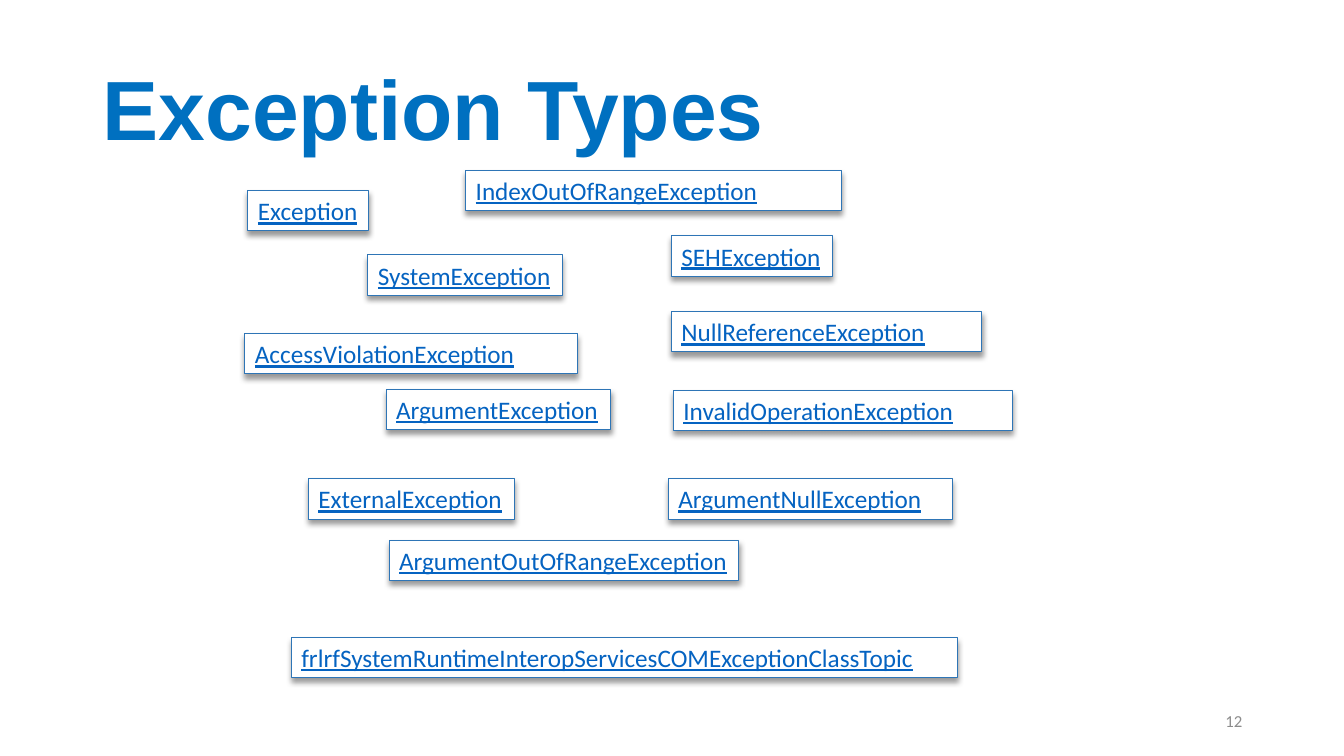
from dataclasses import dataclass

from lxml import etree
from pptx import Presentation
from pptx import util as u
from pptx.dml.color import RGBColor
from pptx.enum import shapes, text
from pptx.oxml import ns

BLUE = RGBColor(0x00, 0x70, 0xC0)
LINK = RGBColor(0x05, 0x63, 0xC1)
BORDER = RGBColor(0x2E, 0x75, 0xB6)
GREY = RGBColor(0x8C, 0x8C, 0x8C)
WHITE = RGBColor(0xFF, 0xFF, 0xFF)

LABEL_HEIGHT = 0.4


@dataclass
class Label:
    name: str
    left: float
    top: float
    width: float
    wrap: bool = True


LABELS = [
    Label("Exception", 2.46, 1.89, 1.2, False),
    Label("SystemException", 3.65, 2.53, 1.93, False),
    Label("IndexOutOfRangeException", 4.62, 1.69, 3.73),
    Label("NullReferenceException", 6.66, 3.09, 3.08),
    Label("AccessViolationException", 2.43, 3.31, 3.3),
    Label("InvalidOperationException", 6.68, 3.87, 3.36),
    Label("ArgumentException", 3.83, 3.86, 2.23, False),
    Label("ArgumentNullException", 6.63, 4.75, 2.82),
    Label("ArgumentOutOfRangeException", 3.86, 5.36, 3.47),
    Label("ExternalException", 3.06, 4.75, 2.04, False),
    Label("frlrfSystemRuntimeInteropServicesCOMExceptionClassTopic", 2.89, 6.32, 6.61),
    Label("SEHException", 6.66, 2.34, 1.6, False),
]


def style(p, font: str, size: float, color: RGBColor) -> None:
    p.font.name = font
    p.font.size = u.Pt(size)
    p.font.color.rgb = color


def add_text(slide, words: str, left: float, top: float, width: float, height: float):
    sp = slide.shapes.add_textbox(*map(u.Inches, (left, top, width, height)))
    tf = sp.text_frame
    tf.word_wrap = True
    tf.vertical_anchor = text.MSO_ANCHOR.MIDDLE
    p = tf.paragraphs[0]
    p.text = words
    return p


def add_shadow(sp) -> None:
    sp.shadow.inherit = False
    effects = sp.element.spPr.find(ns.qn("a:effectLst"))
    shadow = etree.SubElement(
        effects, ns.qn("a:outerShdw"), blurRad=str(u.Pt(4)), dist=str(u.Pt(3)),
        dir="5400000", rotWithShape="0")
    color = etree.SubElement(shadow, ns.qn("a:srgbClr"), val="000000")
    etree.SubElement(color, ns.qn("a:alpha"), val="40000")


def add_label(slide, label: Label) -> None:
    box = (label.left, label.top, label.width, LABEL_HEIGHT)
    sp = slide.shapes.add_shape(shapes.MSO_SHAPE.RECTANGLE, *map(u.Inches, box))
    sp.fill.solid()
    sp.fill.fore_color.rgb = WHITE
    sp.line.color.rgb = BORDER
    sp.line.width = u.Pt(0.75)
    add_shadow(sp)
    tf = sp.text_frame
    tf.word_wrap = label.wrap
    tf.auto_size = text.MSO_AUTO_SIZE.SHAPE_TO_FIT_TEXT
    tf.vertical_anchor = text.MSO_ANCHOR.TOP
    p = tf.paragraphs[0]
    p.text = label.name
    p.alignment = text.PP_ALIGN.LEFT
    style(p, "Calibri", 18, LINK)
    p.font.underline = True


def main() -> None:
    prs = Presentation()
    prs.slide_width, prs.slide_height = u.Inches(13.33), u.Inches(7.5)
    slide = prs.slides.add_slide(prs.slide_layouts[6])

    # Title
    p = add_text(slide, "Exception Types", 0.92, 0.4, 11.5, 1.45)
    style(p, "Arial", 60, BLUE)
    p.font.bold = True
    p.line_spacing = 0.9

    # Slide number
    p = add_text(slide, "12", 9.42, 6.95, 3, 0.4)
    style(p, "Calibri", 12, GREY)
    p.alignment = text.PP_ALIGN.RIGHT

    # Exception names
    for label in LABELS:
        add_label(slide, label)

    prs.save("out.pptx")


if __name__ == "__main__":
    main()
